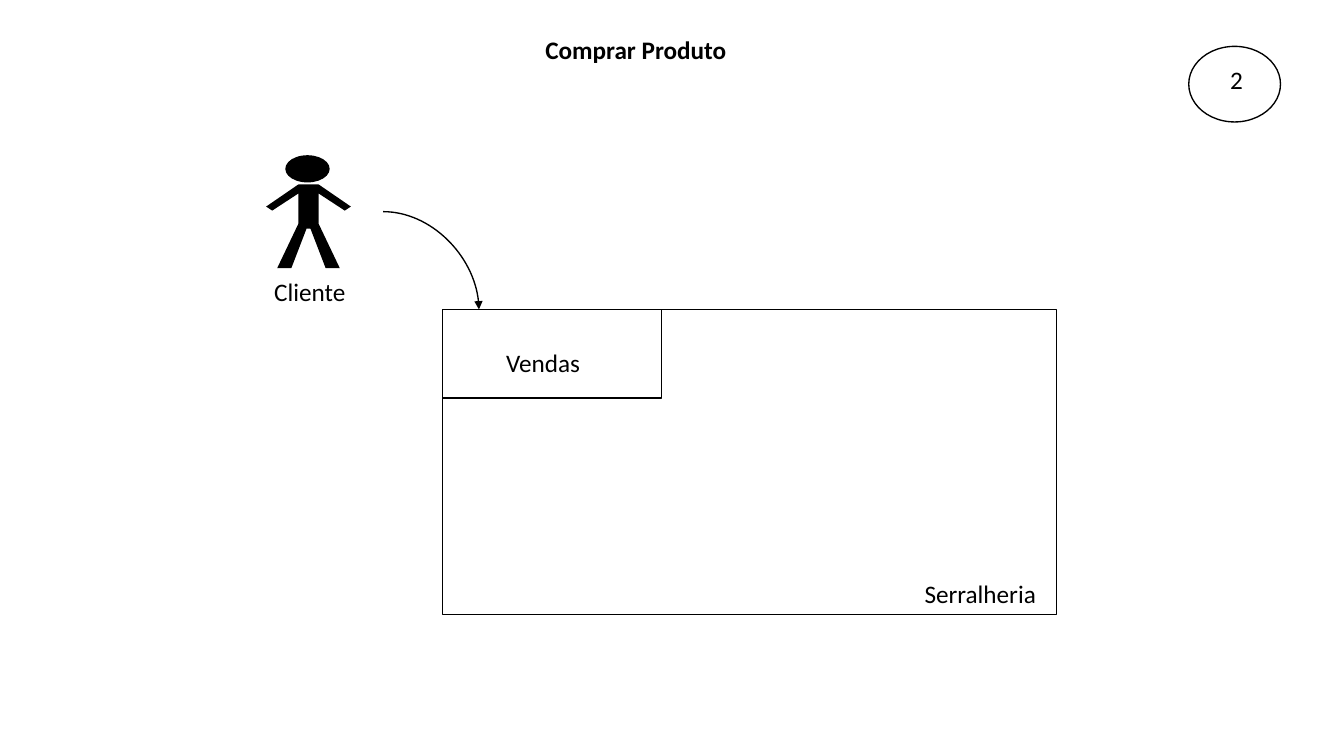
from lxml import etree
from pptx import Presentation
from pptx import util as u
from pptx.dml.color import RGBColor
from pptx.enum import shapes, text
from pptx.oxml.ns import qn

HUES = {"ink": "000000"}
AXIS = 3.06
HALF = [(0.1, 1.83), (0.42, 2.05), (0.36, 2.09), (0.1, 1.92),
        (0.1, 2.22), (0.31, 2.66), (0.17, 2.66), (0.02, 2.27)]


class Board:
    """Holds the style and the current slide."""

    def __init__(self, slide):
        """Set the slide and the shared style."""
        self.shapes = slide.shapes
        self.ink = RGBColor.from_string(HUES["ink"])
        self.font, self.size, self.line = "Calibri", u.Pt(18), u.Pt(0.96)

    def paint(self, shape, solid):
        """Give a shape a solid fill or a thin outline."""
        shape.shadow.inherit = False
        if solid:
            shape.fill.solid()
            shape.fill.fore_color.rgb = self.ink
            shape.line.fill.background()
        else:
            shape.fill.background()
            shape.line.color.rgb = self.ink
            shape.line.width = self.line

    def shape(self, kind, box, solid=False):
        """Add a preset shape."""
        item = self.shapes.add_shape(kind, *map(u.Inches, box))
        self.paint(item, solid)
        return item

    def outline(self, points):
        """Add a solid closed polygon."""
        spots = [(u.Inches(x), u.Inches(y)) for x, y in points]
        pen = self.shapes.build_freeform(*spots[0])
        pen.add_line_segments(spots[1:], close=True)
        self.paint(pen.convert_to_shape(), True)

    def letter(self, item, words, left=0.01, top=0.02, bold=False):
        """Put one line of text in a shape, set in from its left and top."""
        frame = item.text_frame
        frame.word_wrap = True
        frame.vertical_anchor = text.MSO_ANCHOR.TOP
        frame.margin_left, frame.margin_top = u.Inches(left), u.Inches(top)
        frame.margin_right = frame.margin_bottom = 0
        para = frame.paragraphs[0]
        para.text = words
        para.alignment = text.PP_ALIGN.LEFT
        para.font.name, para.font.size = self.font, self.size
        para.font.bold = bold
        para.font.color.rgb = self.ink

    def label(self, words, box, **style):
        """Add a text box."""
        self.letter(self.shapes.add_textbox(*map(u.Inches, box)), words, **style)

    def arrow(self, *ends):
        """Add a quarter-turn arrow that leaves level and ends downward."""
        link = self.shapes.add_connector(
            shapes.MSO_CONNECTOR.CURVE, *map(u.Inches, ends))
        link.line.color.rgb = self.ink
        link.line.width = self.line
        props = link._element.spPr
        props.find(qn("a:prstGeom")).set("prst", "curvedConnector2")
        etree.SubElement(props.find(qn("a:ln")), qn("a:tailEnd"), type="triangle")
        etree.SubElement(props, qn("a:effectLst"))


def main():
    """Build the slide and save it."""
    deck = Presentation()
    deck.slide_width, deck.slide_height = u.Inches(13.33), u.Inches(7.5)
    board = Board(deck.slides.add_slide(deck.slide_layouts[6]))
    kind = shapes.MSO_SHAPE

    board.shape(kind.OVAL, (2.83, 1.54, 0.44, 0.27), solid=True)
    left = [(AXIS - x, y) for x, y in HALF]
    right = [(AXIS + x, y) for x, y in reversed(HALF)]
    board.outline(left + right)

    board.shape(kind.RECTANGLE, (4.39, 3.07, 6.09, 3.03))
    board.arrow(3.8, 2.1, 4.75, 3.07)
    sales = board.shape(kind.RECTANGLE, (4.39, 3.07, 2.17, 0.88))
    board.letter(sales, "Vendas", left=0.63, top=0.38)
    board.label("Serralheria", (9.16, 5.72, 1.13, 0.33))
    board.label("Cliente", (2.71, 2.72, 0.73, 0.33))

    board.shape(kind.OVAL, (11.79, 0.46, 0.91, 0.75))
    board.label("2", (12.19, 0.62, 0.15, 0.33))
    board.label("Comprar Produto", (5.31, 0.29, 3.61, 0.4),
                left=0.1, top=0.05, bold=True)
    deck.save("out.pptx")


main()
